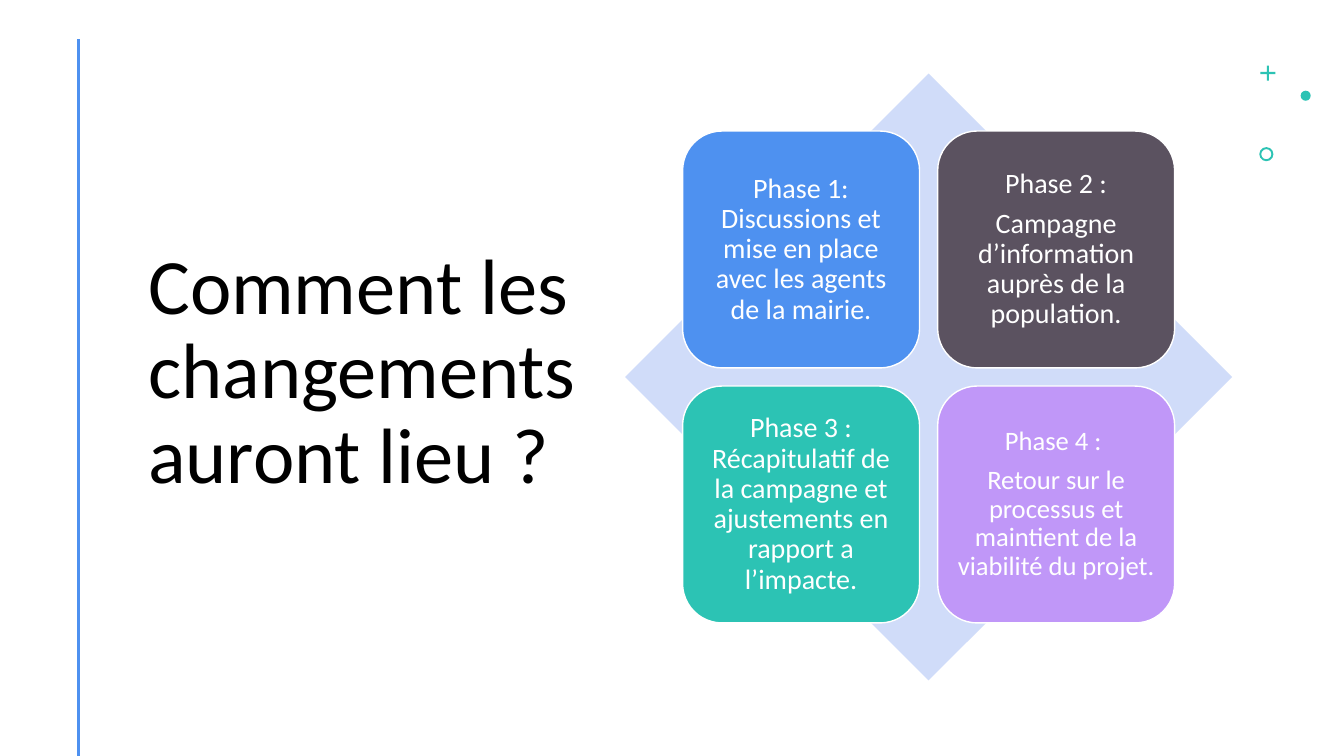
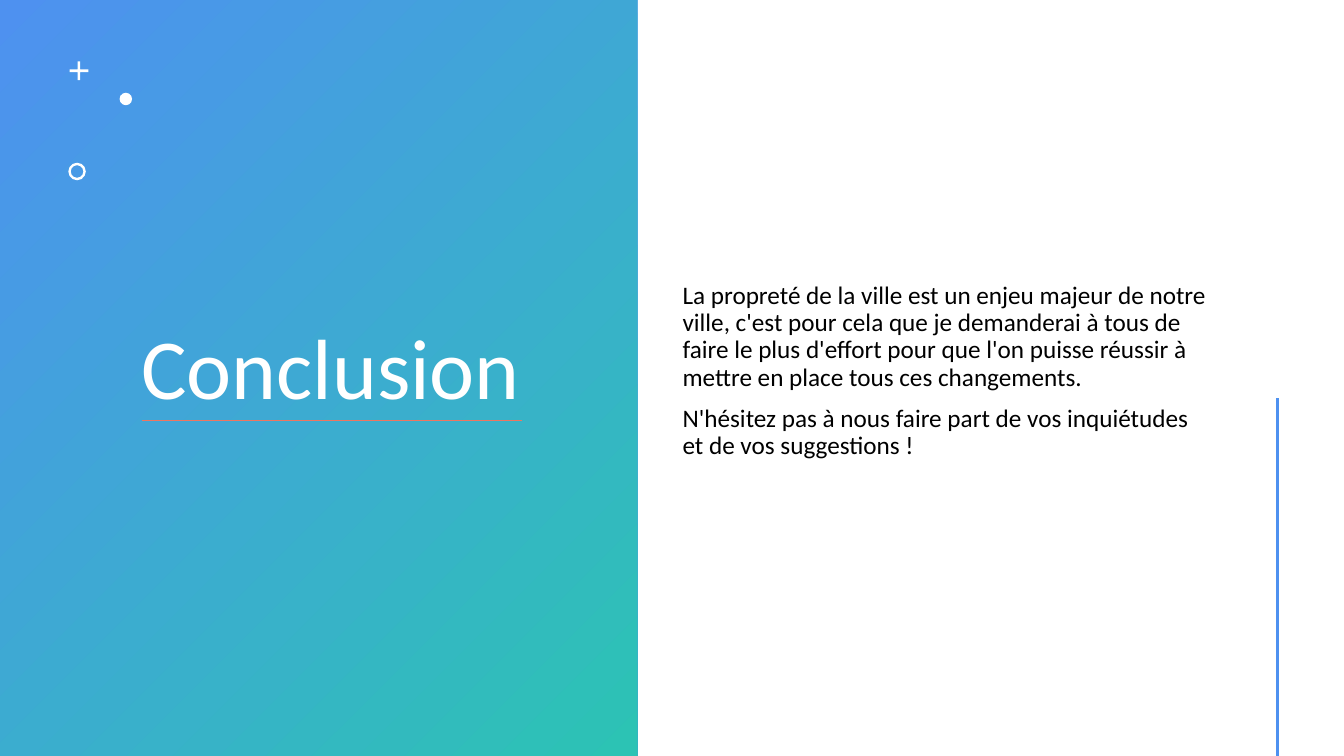
from dataclasses import dataclass

import pptx
import pptx.dml.color
import pptx.enum.shapes
import pptx.enum.text
import pptx.oxml.ns
import pptx.presentation
import pptx.shapes.autoshape
import pptx.slide
import pptx.text.text
import pptx.util
from lxml import etree
from pptx.dml.color import RGBColor
from pptx.enum.shapes import MSO_SHAPE
from pptx.enum.text import MSO_ANCHOR, MSO_AUTO_SIZE, PP_ALIGN
from pptx.util import Inches, Pt


@dataclass(frozen=True)
class Theme:
    font: str = "Calibri"
    blue: str = "4E91F0"
    slate: str = "5B5260"
    teal: str = "2CC3B4"
    violet: str = "C097F8"
    pale_blue: str = "D0DCF9"
    coral: str = "EE7661"
    white: str = "FFFFFF"
    black: str = "000000"
    title_size: int = 56
    conclusion_size: int = 61
    phase_size: int = 20
    small_phase_size: int = 19
    body_size: int = 18
    line_spacing: float = 0.9


THEME = Theme()


@dataclass(frozen=True)
class Box:
    left: float
    top: float
    width: float
    height: float

    def lengths(self) -> tuple[int, int, int, int]:
        return Inches(self.left), Inches(self.top), Inches(self.width), Inches(self.height)


@dataclass(frozen=True)
class Phase:
    color: str
    paragraphs: tuple[str, ...]
    size: int = THEME.phase_size


@dataclass(frozen=True)
class Ornament:
    preset: MSO_SHAPE
    offset_x: float
    offset_y: float
    size: float
    adjustment: float | None = None


PHASES = (
    Phase(THEME.blue, ("Phase 1: Discussions et mise en place avec les agents de la mairie.",)),
    Phase(THEME.slate, ("Phase 2 :", "Campagne d’information auprès de la population.")),
    Phase(THEME.teal, ("Phase 3 : Récapitulatif de la campagne et ajustements en rapport a l’impacte.",)),
    Phase(THEME.violet,
          ("Phase 4 : ", "Retour sur le processus et maintient de la viabilité du projet."),
          THEME.small_phase_size),
)

ORNAMENTS = (
    Ornament(MSO_SHAPE.CROSS, 0, 0, 0.15, 0.43),
    Ornament(MSO_SHAPE.OVAL, 0.4, 0.25, 0.1),
    Ornament(MSO_SHAPE.DONUT, -0.01, 0.81, 0.14, 0.14),
)

CONCLUSION = (
    "La propreté de la ville est un enjeu majeur de notre ville, c'est pour cela que je demanderai "
    "à tous de faire le plus d'effort pour que l'on puisse réussir à mettre en place tous ces changements.",
    "N'hésitez pas à nous faire part de vos inquiétudes et de vos suggestions !",
)


def add_shape(slide: pptx.slide.Slide, preset: MSO_SHAPE, box: Box,
              color: str | None = None) -> pptx.shapes.autoshape.Shape:
    """Add a preset shape without shadow or outline."""
    shape = slide.shapes.add_shape(preset, *box.lengths())
    shape.shadow.inherit = False
    shape.line.fill.background()
    if color:
        shape.fill.solid()
        shape.fill.fore_color.rgb = RGBColor.from_string(color)
    return shape


def add_line(slide: pptx.slide.Slide, start: tuple[float, float], end: tuple[float, float],
             color: str, width: float) -> None:
    line = slide.shapes.add_connector(
        pptx.enum.shapes.MSO_CONNECTOR.STRAIGHT, *map(Inches, start + end))
    line.line.color.rgb = RGBColor.from_string(color)
    line.line.width = Pt(width)
    etree.SubElement(line.element.spPr, pptx.oxml.ns.qn("a:effectLst"))


def add_side_line(slide: pptx.slide.Slide, x: float, top: float) -> None:
    add_line(slide, (x, top), (x, 7.5), THEME.blue, 2)


def add_ornaments(slide: pptx.slide.Slide, left: float, top: float, color: str,
                  scale: float = 1) -> None:
    for ornament in ORNAMENTS:
        size = ornament.size * scale
        box = Box(left + ornament.offset_x * scale, top + ornament.offset_y * scale, size, size)
        shape = add_shape(slide, ornament.preset, box, color)
        if ornament.adjustment is not None:
            shape.adjustments[0] = ornament.adjustment


def write_text(frame: pptx.text.text.TextFrame, texts: tuple[str, ...], size: int, color: str,
               alignment: PP_ALIGN = PP_ALIGN.LEFT, before: float = 0, after: float = 0) -> None:
    """Fill a frame with vertically centred paragraphs of one style."""
    frame.word_wrap = True
    frame.auto_size = MSO_AUTO_SIZE.NONE
    frame.vertical_anchor = MSO_ANCHOR.MIDDLE
    for index, text in enumerate(texts):
        paragraph = frame.add_paragraph() if index else frame.paragraphs[0]
        paragraph.text = text
        paragraph.alignment = alignment
        paragraph.line_spacing = THEME.line_spacing
        paragraph.space_before = Pt(before)
        paragraph.space_after = Pt(after)
        paragraph.font.name = THEME.font
        paragraph.font.size = Pt(size)
        paragraph.font.color.rgb = RGBColor.from_string(color)


def place(shape: pptx.shapes.autoshape.Shape, box: Box) -> None:
    shape.left, shape.top, shape.width, shape.height = box.lengths()


def set_title(slide: pptx.slide.Slide, text: str, box: Box, size: int, color: str) -> None:
    title = slide.shapes.title
    place(title, box)
    write_text(title.text_frame, (text,), size, color)


def remove_bullets(frame: pptx.text.text.TextFrame) -> None:
    for paragraph in frame.paragraphs:
        properties = paragraph._p.get_or_add_pPr()
        properties.set("marL", "0")
        properties.set("indent", "0")
        bullet = etree.Element(pptx.oxml.ns.qn("a:buNone"))
        run_defaults = properties.find(pptx.oxml.ns.qn("a:defRPr"))
        run_defaults.addprevious(bullet)


def add_phase_matrix(slide: pptx.slide.Slide) -> None:
    center_x, center_y, diamond, card, gap = 9.21, 3.74, 6.02, 2.35, 0.18
    add_shape(slide, MSO_SHAPE.DIAMOND,
              Box(center_x - diamond / 2, center_y - diamond / 2, diamond, diamond), THEME.pale_blue)
    left, top = center_x - card - gap / 2, center_y - card - gap / 2
    for index, phase in enumerate(PHASES):
        row, column = divmod(index, 2)
        box = Box(left + column * (card + gap), top + row * (card + gap), card, card)
        shape = add_shape(slide, MSO_SHAPE.ROUNDED_RECTANGLE, box, phase.color)
        shape.line.color.rgb = RGBColor.from_string(THEME.white)
        shape.line.width = Pt(1)
        frame = shape.text_frame
        frame.margin_left = frame.margin_right = Inches(0.08)
        frame.margin_top = frame.margin_bottom = Inches(0.08)
        write_text(frame, phase.paragraphs, phase.size, THEME.white, PP_ALIGN.CENTER, after=7)


def build_phases_slide(presentation: pptx.presentation.Presentation) -> None:
    slide = presentation.slides.add_slide(presentation.slide_layouts.get_by_name("Title Only"))
    set_title(slide, "Comment les changements auront lieu ?", Box(1.37, 0.65, 4.56, 6.11),
              THEME.title_size, THEME.black)
    add_side_line(slide, 0.78, 0.39)
    add_ornaments(slide, 12.5, 0.65, THEME.teal)
    add_phase_matrix(slide)


def build_conclusion_slide(presentation: pptx.presentation.Presentation) -> None:
    slide = presentation.slides.add_slide(presentation.slide_layouts.get_by_name("Title and Content"))
    panel = add_shape(slide, MSO_SHAPE.RECTANGLE, Box(0, 0, 6.32, 7.5))
    panel.fill.gradient()
    panel.fill.gradient_angle = 315
    for stop, color in zip(panel.fill.gradient_stops, (THEME.blue, THEME.teal)):
        stop.color.rgb = RGBColor.from_string(color)
    slide.shapes.title.element.addprevious(panel.element)

    set_title(slide, "Conclusion", Box(1.3, 0.42, 4.38, 6.53), THEME.conclusion_size, THEME.white)
    add_ornaments(slide, 0.69, 0.61, THEME.white, scale=1.24)
    body = slide.placeholders[1]
    place(body, Box(6.67, 0.42, 5.45, 6.53))
    write_text(body.text_frame, CONCLUSION, THEME.body_size, THEME.black, before=10)
    remove_bullets(body.text_frame)
    add_side_line(slide, 12.67, 3.95)
    add_line(slide, (1.41, 4.17), (5.18, 4.17), THEME.coral, 0.5)


def main() -> None:
    presentation = pptx.Presentation()
    presentation.slide_width = Inches(13.33)
    presentation.slide_height = Inches(7.5)
    build_phases_slide(presentation)
    build_conclusion_slide(presentation)
    presentation.save("out.pptx")


if __name__ == "__main__":
    main()
